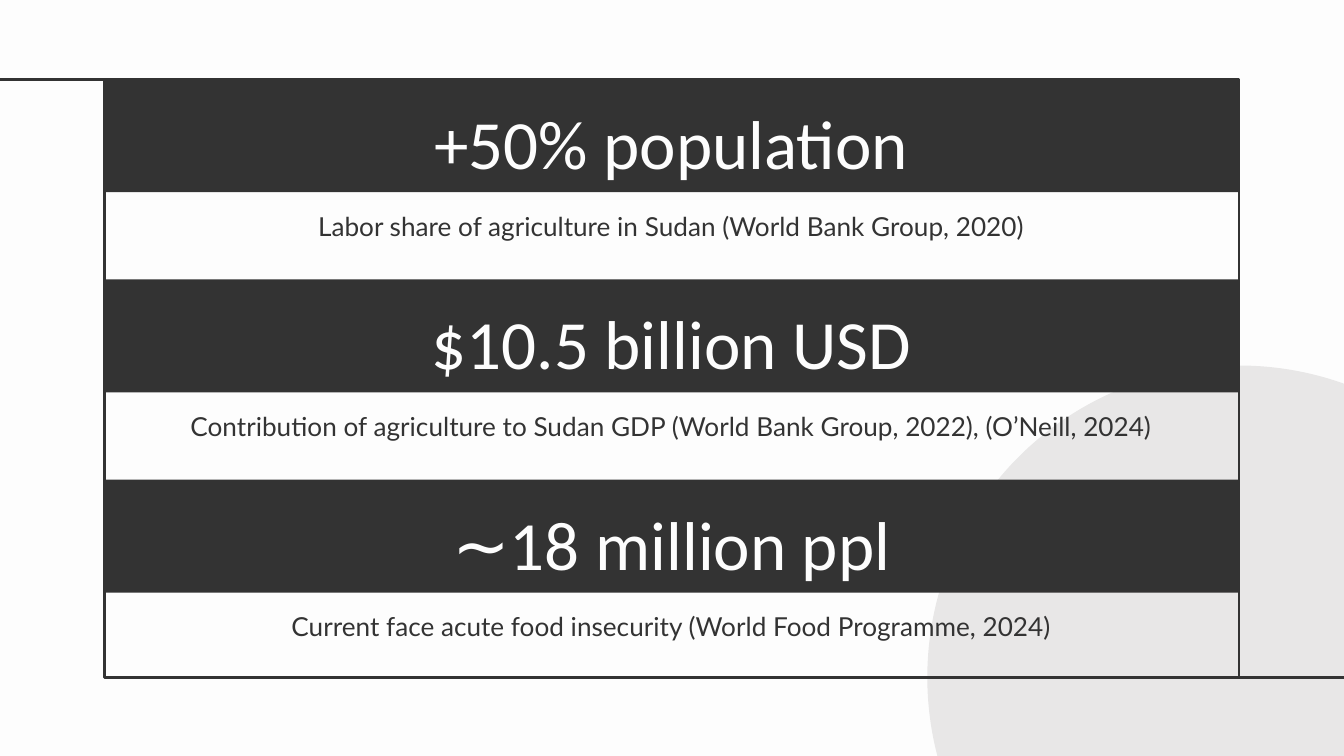
import pptx
import pptx.util
from pptx.dml.color import RGBColor
from pptx.enum.shapes import MSO_CONNECTOR, MSO_SHAPE
from pptx.enum.text import MSO_ANCHOR, MSO_AUTO_SIZE, PP_ALIGN
from pptx.oxml import parse_xml
from pptx.oxml.ns import nsdecls
from pptx.util import Inches, Pt

# Content: headline figure and its explanation
FIGURES = [
    ("+50% population",
     "Labor share of agriculture in Sudan (World Bank Group, 2020)"),
    ("$10.5 billion USD",
     "Contribution of agriculture to Sudan GDP (World Bank Group, 2022), (O’Neill, 2024)"),
    ("∼18 million ppl",
     "Current face acute food insecurity (World Food Programme, 2024)"),
]

DARK = RGBColor(0x33, 0x33, 0x33)
LIGHT = RGBColor(0xFD, 0xFD, 0xFD)
GREY = RGBColor(0xE8, 0xE7, 0xE7)

# Layout in inches
SLIDE_WIDTH = 10
SLIDE_HEIGHT = SLIDE_WIDTH * 9 / 16
BAND_LEFT, BAND_WIDTH, BAND_HEIGHT = 0.77, 8.45, 0.84
CAPTION_HEIGHT = 0.45
FIRST_TOP, ROW_PITCH = 0.59, 1.49
FRAME_BOTTOM = 5.04
RULES = [(9.19, 10.26, FRAME_BOTTOM), (0.79, -0.08, FIRST_TOP)]


def write(box, text, font, size, color, side_inset, anchor):
    frame = box.text_frame
    frame.word_wrap = True
    frame.auto_size = MSO_AUTO_SIZE.NONE
    frame.vertical_anchor = anchor
    frame.margin_left = frame.margin_right = Inches(side_inset)
    frame.margin_top = frame.margin_bottom = Inches(0.1)
    paragraph = frame.paragraphs[0]
    paragraph.alignment = PP_ALIGN.CENTER
    paragraph.line_spacing = 1.15
    paragraph.space_before = Pt(0)
    run = paragraph.add_run()
    run.text = text
    run.font.name = font
    run.font.size = Pt(size)
    run.font.color.rgb = color


def place(box, top, height):
    box.left, box.top = Inches(BAND_LEFT), Inches(top)
    box.width, box.height = Inches(BAND_WIDTH), Inches(height)


deck = pptx.Presentation()
deck.slide_width, deck.slide_height = Inches(SLIDE_WIDTH), Inches(SLIDE_HEIGHT)
slide = deck.slides.add_slide(deck.slide_layouts[5])
slide.background.fill.solid()
slide.background.fill.fore_color.rgb = LIGHT
shapes = slide.shapes

# Background circle
circle = shapes.add_shape(MSO_SHAPE.OVAL, Inches(6.9), Inches(2.72),
                          Inches(4.64), Inches(4.64))
circle.shadow.inherit = False
circle.fill.solid()
circle.fill.fore_color.rgb = GREY
circle.line.fill.background()

# Frame with rules running out to the slide edges
border = shapes.add_shape(MSO_SHAPE.RECTANGLE, Inches(0.78), Inches(FIRST_TOP),
                          Inches(8.44), Inches(FRAME_BOTTOM - FIRST_TOP))
border.shadow.inherit = False
border.fill.background()
border.line.color.rgb = DARK
border.line.width = Pt(1.5)
for start, end, y in RULES:
    rule = shapes.add_connector(MSO_CONNECTOR.STRAIGHT, Inches(start), Inches(y),
                                Inches(end), Inches(y))
    rule.line.color.rgb = DARK
    rule.line.width = Pt(1.5)
    rule._element.spPr.append(parse_xml(f"<a:effectLst {nsdecls('a')}/>"))

# Figure bands (the first is the slide title) with captions below
for row, (figure, explanation) in enumerate(FIGURES):
    top = FIRST_TOP + row * ROW_PITCH
    band = shapes.title if row == 0 else shapes.add_textbox(0, 0, 0, 0)
    place(band, top, BAND_HEIGHT)
    band.fill.solid()
    band.fill.fore_color.rgb = DARK
    write(band, figure, "Calibri", 37, LIGHT, 0.2, MSO_ANCHOR.MIDDLE)

    caption = shapes.add_textbox(0, 0, 0, 0)
    place(caption, top + BAND_HEIGHT, CAPTION_HEIGHT)
    write(caption, explanation, "Lato", 14, DARK, 0.1, MSO_ANCHOR.TOP)

deck.save("out.pptx")
